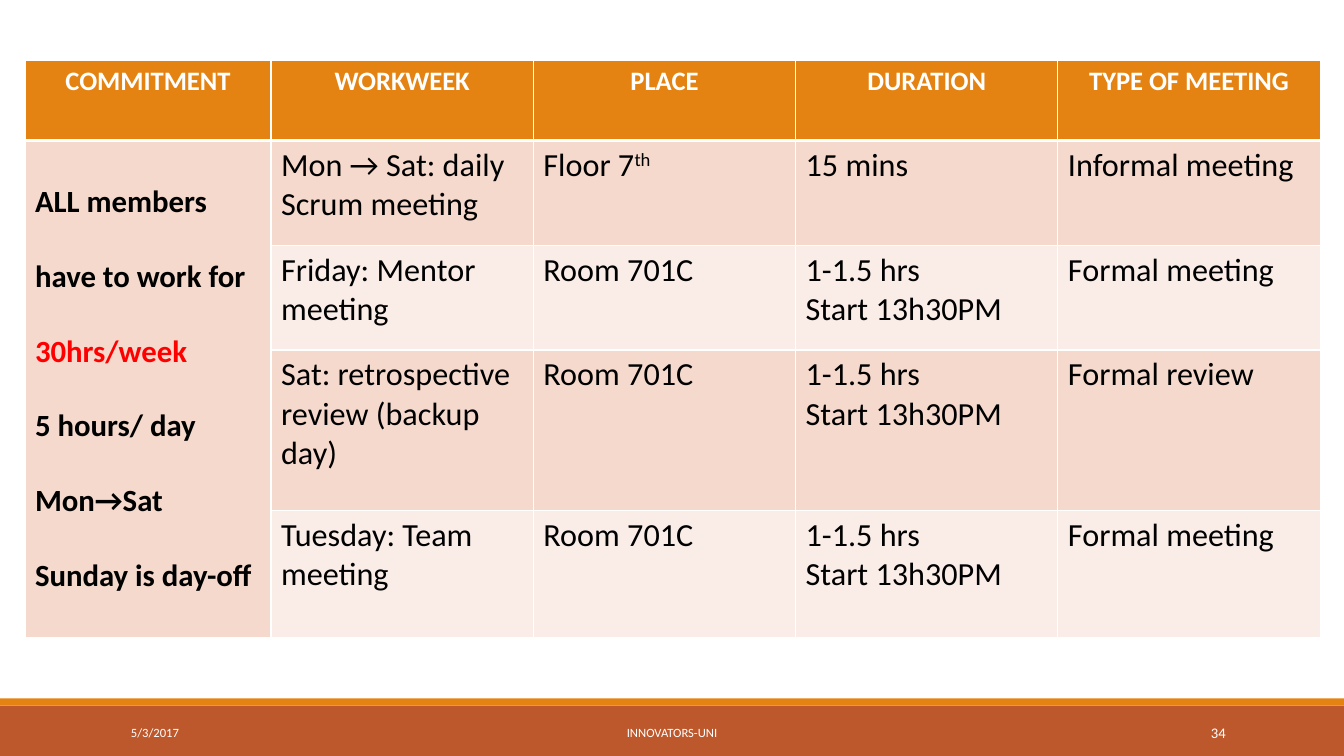
import pptx
import pptx.dml.color
import pptx.enum.shapes
import pptx.enum.text
import pptx.oxml
import pptx.oxml.ns
import pptx.util
from pptx.util import Cm

ALIGN = pptx.enum.text.PP_ALIGN
COLOURS = {
    "header": "E48312",
    "footer": "BD582C",
    "odd_row": "F5D9CC",
    "even_row": "FAEDE7",
    "white": "FFFFFF",
    "black": "000000",
    "highlight": "FF0000",
}
FONT = "Calibri"
SLIDE_WIDTH, SLIDE_HEIGHT = 33.87, 19.05

HEADINGS = ["COMMITMENT", "WORKWEEK", "PLACE", "DURATION", "TYPE OF MEETING"]
MEETINGS = [
    ["Mon → Sat: daily Scrum meeting", "Floor 7", "15 mins", "Informal meeting"],
    ["Friday: Mentor meeting", "Room 701C", "1-1.5 hrs\nStart 13h30PM", "Formal meeting"],
    ["Sat: retrospective review (backup day)", "Room 701C", "1-1.5 hrs\nStart 13h30PM", "Formal review"],
    ["Tuesday: Team meeting", "Room 701C", "1-1.5 hrs\nStart 13h30PM", "Formal meeting"],
]
COMMITMENTS = ["ALL members have to work for ", "5 hours/ day", "Mon→Sat", "Sunday is day-off"]
COLUMN_WIDTHS = [6.2, 6.61, 6.61, 6.61, 6.61]
ROW_HEIGHTS = [2.01, 2.64, 2.64, 4.04, 3.2]


def rgb(name):
    return pptx.dml.color.RGBColor.from_string(COLOURS[name])


def format_runs(paragraph, size, colour, bold=False):
    for run in paragraph.runs:
        run.font.name = FONT
        run.font.size = pptx.util.Pt(size)
        run.font.bold = bold
        run.font.color.rgb = rgb(colour)


def add_bar(slide, top, height, colour):
    bar = slide.shapes.add_shape(
        pptx.enum.shapes.MSO_SHAPE.RECTANGLE, 0, Cm(top), Cm(SLIDE_WIDTH), Cm(height))
    bar.shadow.inherit = False
    bar.fill.solid()
    bar.fill.fore_color.rgb = rgb(colour)
    bar.line.fill.background()


def add_footer(slide, top, height):
    """Draw the two bars with the date, team name and slide number."""
    stripe = 0.18
    add_bar(slide, top + stripe, height - stripe, "footer")
    add_bar(slide, top, stripe, "header")
    entries = [
        ("5/3/2017", 3.05, 6.86, 9, ALIGN.LEFT),
        ("INNOVATORS-UNI", 10.24, 13.39, 9, ALIGN.CENTER),
        ("34", 27.51, 3.63, 10.5, ALIGN.RIGHT),
    ]
    for text, left, width, size, alignment in entries:
        box = slide.shapes.add_textbox(Cm(left), Cm(top + 0.35), Cm(width), Cm(1.01))
        frame = box.text_frame
        frame.word_wrap = True
        frame.vertical_anchor = pptx.enum.text.MSO_ANCHOR.MIDDLE
        frame.text = text
        frame.paragraphs[0].alignment = alignment
        format_runs(frame.paragraphs[0], size, "white")


def style_cell(cell, colour, top_width, bottom_width):
    """Give a cell white borders (widths in points) and a solid fill."""
    properties = cell._tc.get_or_add_tcPr()
    for side, width in zip("LRTB", (1, 1, top_width, bottom_width)):
        properties.append(pptx.oxml.parse_xml(
            f'<a:ln{side} {pptx.oxml.ns.nsdecls("a")} w="{pptx.util.Pt(width)}">'
            f'<a:solidFill><a:srgbClr val="{COLOURS["white"]}"/></a:solidFill></a:ln{side}>'))
    cell.fill.solid()
    cell.fill.fore_color.rgb = rgb(colour)


def write_cell(cell, text, size, colour, bold=False):
    paragraph = cell.text_frame.paragraphs[0]
    paragraph.text = text
    format_runs(paragraph, size, colour, bold)
    return paragraph


def write_commitment(cell):
    frame = cell.text_frame
    frame.text = "\n".join(COMMITMENTS)
    hours = frame.paragraphs[0].add_run()
    hours.text = "30hrs/week"
    for paragraph in frame.paragraphs:
        paragraph.line_spacing = 2.0
        format_runs(paragraph, 22, "black", bold=True)
    hours.font.color.rgb = rgb("highlight")


def add_schedule(slide, left, top):
    row_count, column_count = len(ROW_HEIGHTS), len(COLUMN_WIDTHS)
    table = slide.shapes.add_table(
        row_count, column_count, Cm(left), Cm(top),
        Cm(sum(COLUMN_WIDTHS)), Cm(sum(ROW_HEIGHTS))).table
    for column, width in zip(table.columns, COLUMN_WIDTHS):
        column.width = Cm(width)
    for row_index, (row, height) in enumerate(zip(table.rows, ROW_HEIGHTS)):
        row.height = Cm(height)
        for column_index, cell in enumerate(row.cells):
            if row_index == 0:
                colour = "header"
            elif row_index % 2 or column_index == 0:
                colour = "odd_row"
            else:
                colour = "even_row"
            style_cell(cell, colour, 3 if row_index == 1 else 1, 3 if row_index == 0 else 1)

    for column_index, heading in enumerate(HEADINGS):
        paragraph = write_cell(table.cell(0, column_index), heading, 19, "white", bold=True)
        paragraph.alignment = ALIGN.CENTER
    for row_index, meeting in enumerate(MEETINGS, start=1):
        for column_index, text in enumerate(meeting, start=1):
            write_cell(table.cell(row_index, column_index), text, 23, "black")

    floor = table.cell(1, 2).text_frame.paragraphs[0]
    ordinal = floor.add_run()
    ordinal.text = "th"
    format_runs(floor, 23, "black")
    ordinal._r.get_or_add_rPr().set("baseline", "30000")

    commitment = table.cell(1, 0)
    commitment.merge(table.cell(row_count - 1, 0))
    write_commitment(commitment)


def main():
    presentation = pptx.Presentation()
    presentation.slide_width = Cm(SLIDE_WIDTH)
    presentation.slide_height = Cm(SLIDE_HEIGHT)
    slide = presentation.slides.add_slide(presentation.slide_layouts[6])
    add_footer(slide, top=17.6, height=1.45)
    add_schedule(slide, left=0.63, top=1.53)
    presentation.save("out.pptx")


if __name__ == "__main__":
    main()
